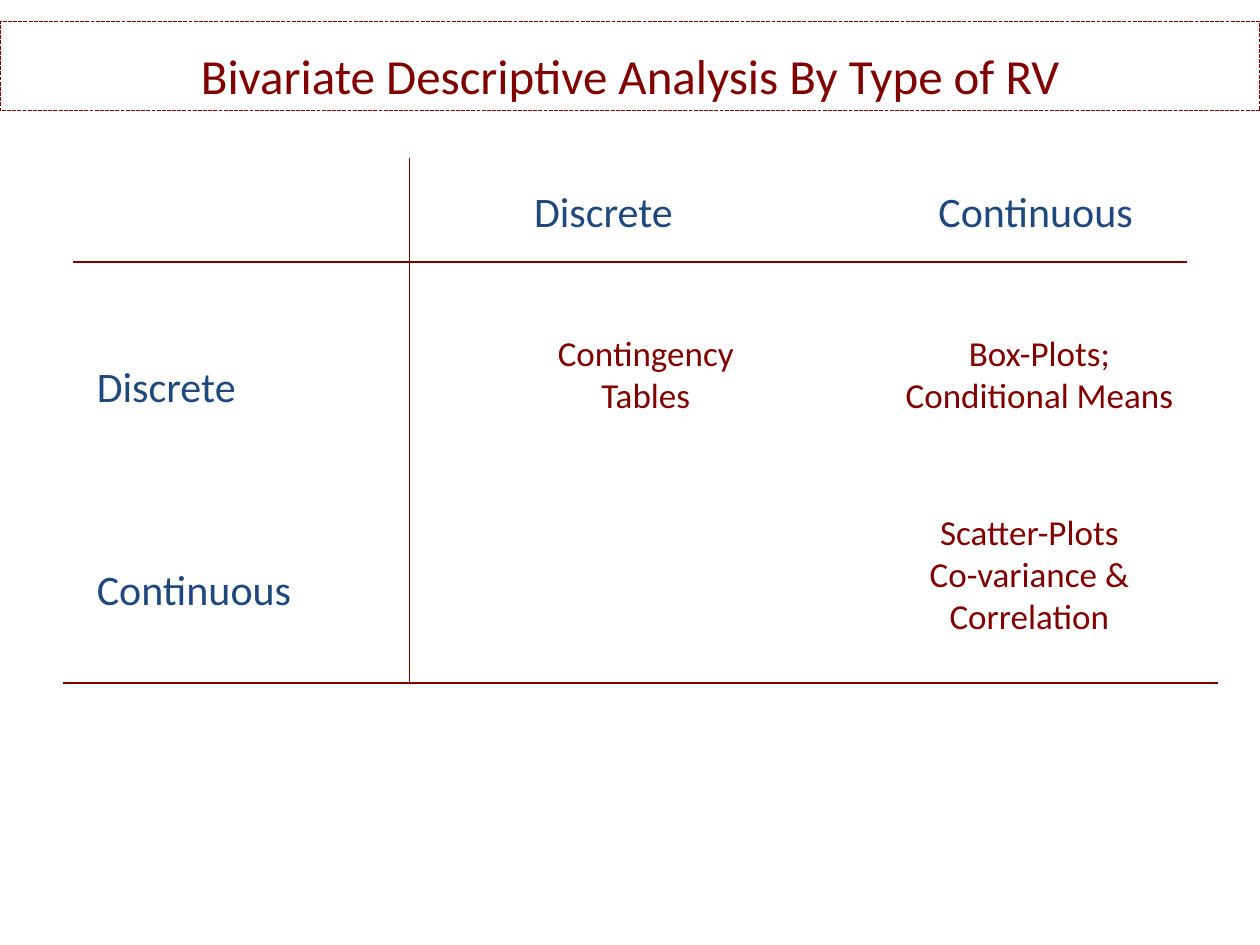
from pptx import Presentation
from pptx.dml.color import RGBColor
from pptx.enum.dml import MSO_LINE as Dash
from pptx.enum.text import MSO_ANCHOR as Anchor, MSO_AUTO_SIZE as Fit, PP_ALIGN as Align
from pptx.util import Inches, Pt
from lxml.etree import SubElement

RED = "800000"
BLUE = "1F497D"
NS = "{http://schemas.openxmlformats.org/drawingml/2006/main}"


def tint(code):
    return RGBColor.from_string(code)


def write(frame, text, size=20, color=RED, align=Align.CENTER, anchor=Anchor.TOP):
    frame.word_wrap = True
    frame.auto_size = Fit.NONE
    frame.vertical_anchor = anchor
    frame.text = text
    for para in frame.paragraphs:
        para.alignment = align
        for run in para.runs:
            run.font.name = "Calibri"
            run.font.size = Pt(size)
            run.font.color.rgb = tint(color)


class Board:
    def __init__(self, slide, color=RED, width=0.75):
        self.slide = slide
        self.color = color
        self.width = width

    def stroke(self, line):
        line.color.rgb = tint(self.color)
        line.width = Pt(self.width)

    def title(self, text, x, y, w, h):
        box = self.slide.shapes.title
        box.left, box.top, box.width, box.height = map(Inches, (x, y, w, h))
        self.stroke(box.line)
        box.line.dash_style = Dash.SQUARE_DOT
        write(box.text_frame, text, size=28, anchor=Anchor.BOTTOM)

    def text(self, text, x, y, w, h, **style):
        box = self.slide.shapes.add_textbox(*map(Inches, (x, y, w, h)))
        write(box.text_frame, text, **style)

    def head(self, text, x, y):
        self.text(text, x, y, 2.5, 0.5, size=24, color=BLUE, align=Align.LEFT)

    def rule(self, *ends):
        line = self.slide.shapes.add_connector(1, *map(Inches, ends))
        self.stroke(line.line)
        SubElement(line._element.spPr, NS + "effectLst")


def main():
    deck = Presentation()
    deck.slide_width, deck.slide_height = Inches(10), Inches(7.5)
    board = Board(deck.slides.add_slide(deck.slide_layouts[5]))

    board.title("Bivariate Descriptive Analysis By Type of RV", 0, 0.17, 10, 0.71)

    kinds = ("Discrete", "Continuous")
    for kind, row, col in zip(kinds, (2.81, 4.42), (4.14, 7.35)):
        board.head(kind, 0.67, row)
        board.head(kind, col, 1.42)

    board.rule(0.5, 5.42, 9.67, 5.42)
    board.rule(0.58, 2.08, 9.42, 2.08)

    board.text("Contingency Tables", 4, 2.58, 2.25, 0.77)
    board.text("Box-Plots;\nConditional Means", 6.75, 2.58, 3, 0.77)
    board.text("Scatter-Plots\nCo-variance & Correlation", 6.67, 4, 3, 1.11)

    board.rule(3.25, 1.25, 3.25, 5.42)

    deck.save("out.pptx")


if __name__ == "__main__":
    main()
